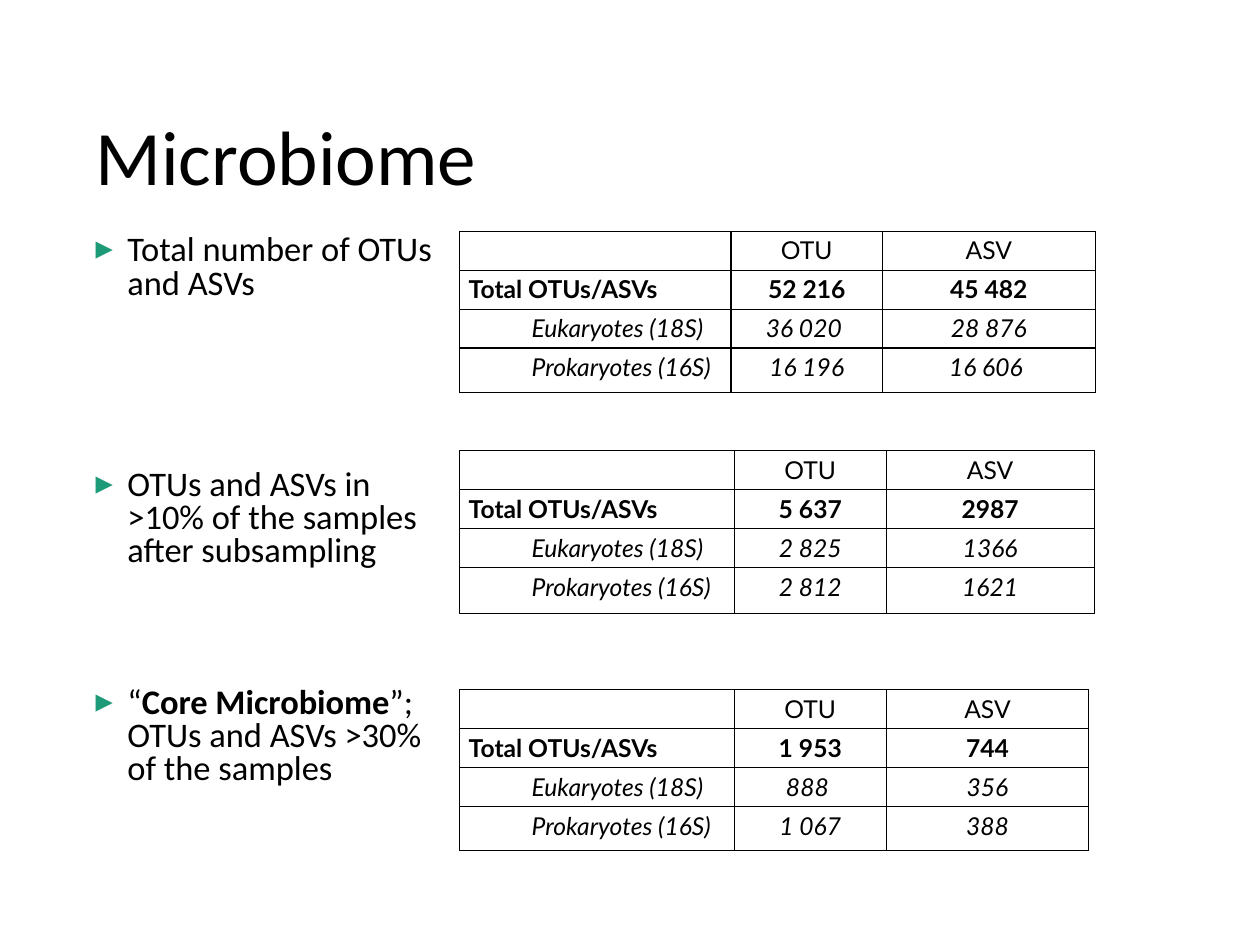
from dataclasses import dataclass

from lxml import etree
from pptx import Presentation
from pptx import util as u
from pptx.dml.color import RGBColor
from pptx.enum import text
from pptx.oxml import ns

BLACK = "000000"
BULLET_GREEN = "1D9A78"
TABLE_LEFT = 5.19
ROW_HEIGHT = 0.44
ROW_LABELS = ["", "Total OTUs/ASVs", "Eukaryotes (18S)", "Prokaryotes (16S)"]


@dataclass
class CountTable:
    top: float
    columns: list[float]
    last_row: float
    otu: list[str]
    asv: list[str]


@dataclass
class Finding:
    runs: list[tuple[str, bool]]  # wording, bold
    space_before: float


COUNT_TABLES = [
    CountTable(2.61, [3.06, 1.71, 2.4], 0.5,
               ["52 216", "36 020 ", "16 196"], ["45 482", "28 876", "16 606 "]),
    CountTable(5.09, [3.1, 1.71, 2.35], 0.52,
               ["5 637", "2 825", "2 812"], ["2987", "1366", "1621"]),
    CountTable(7.79, [3.1, 1.71, 2.29], 0.49,
               ["1 953", "888 ", "1 067"], ["744", "356", "388"]),
]

FINDINGS = [
    Finding([("Total number of OTUs and ASVs", False)], 0),
    Finding([("OTUs and ASVs in >10% of the samples after subsampling", False)], 137),
    Finding([("“", False), ("Core Microbiome", True),
             ("”; OTUs and ASVs >30% of the samples", False)], 96.5),
]


def rgb(color: str) -> RGBColor:
    return RGBColor.from_string(color)


def style(font, name: str, size: float, bold: bool = False, italic: bool = False) -> None:
    font.name, font.size = name, u.Pt(size)
    font.bold, font.italic = bold, italic
    font.color.rgb = rgb(BLACK)


def add_child(parent, tag: str, **attributes: str):
    return etree.SubElement(parent, ns.qn(tag), attributes)


def add_text_frame(slide, left: float, top: float, width: float, height: float):
    box = slide.shapes.add_textbox(*map(u.Inches, (left, top, width, height)))
    box.text_frame.word_wrap = True
    return box.text_frame


def add_title(slide) -> None:
    frame = add_text_frame(slide, 0.98, 0.78, 12.27, 2.06)
    frame.vertical_anchor = text.MSO_ANCHOR.MIDDLE
    frame.text = "Microbiome"
    heading = frame.paragraphs[0]
    heading.line_spacing = 0.9
    style(heading.runs[0].font, "Calibri", 62.6)


def add_bullet(paragraph) -> None:
    properties = paragraph._p.get_or_add_pPr()
    properties.set("marL", str(u.Inches(0.36)))
    properties.set("indent", str(u.Inches(-0.36)))
    add_child(add_child(properties, "a:buClr"), "a:srgbClr", val=BULLET_GREEN)
    add_child(properties, "a:buFont", typeface="Arial")
    add_child(properties, "a:buChar", char="▸")


def add_findings(slide) -> None:
    frame = add_text_frame(slide, 0.98, 2.61, 4.21, 6.91)
    for index, finding in enumerate(FINDINGS):
        paragraph = frame.add_paragraph() if index else frame.paragraphs[0]
        add_bullet(paragraph)
        paragraph.line_spacing = 0.8
        if finding.space_before:
            paragraph.space_before = u.Pt(finding.space_before)
        for wording, bold in finding.runs:
            run = paragraph.add_run()
            run.text = wording
            style(run.font, "Calibri", 28, bold)


def outline(cell) -> None:
    """Give a cell four thin black borders and no fill."""
    properties = cell._tc.get_or_add_tcPr()
    for side in ("a:lnL", "a:lnR", "a:lnT", "a:lnB"):
        border = add_child(properties, side, w=str(u.Pt(1)))
        add_child(add_child(border, "a:solidFill"), "a:srgbClr", val=BLACK)
    cell.fill.background()


def add_count_table(slide, counts: CountTable) -> None:
    row_heights = [ROW_HEIGHT] * 3 + [counts.last_row]
    rows = list(zip(ROW_LABELS, ["OTU", *counts.otu], ["ASV", *counts.asv]))
    table = slide.shapes.add_table(
        len(rows), len(counts.columns), u.Inches(TABLE_LEFT), u.Inches(counts.top),
        u.Inches(sum(counts.columns)), u.Inches(sum(row_heights))).table
    table.first_row = table.horz_banding = False
    for column, width in zip(table.columns, counts.columns):
        column.width = u.Inches(width)
    for r, (values, height) in enumerate(zip(rows, row_heights)):
        table.rows[r].height = u.Inches(height)
        for c, value in enumerate(values):
            cell = table.cell(r, c)
            outline(cell)
            cell.text_frame.text = value
            paragraph = cell.text_frame.paragraphs[0]
            if c:
                paragraph.alignment = text.PP_ALIGN.CENTER
            elif r > 1:
                paragraph._p.get_or_add_pPr().set("marL", str(u.Inches(0.71)))
            for run in paragraph.runs:
                style(run.font, "Lato", 20, bold=r == 1, italic=r > 1)


def main() -> None:
    deck = Presentation()
    deck.slide_width, deck.slide_height = u.Inches(14.22), u.Inches(10.67)
    slide = deck.slides.add_slide(deck.slide_layouts[6])
    add_title(slide)
    add_findings(slide)
    for counts in COUNT_TABLES:
        add_count_table(slide, counts)
    deck.save("out.pptx")


if __name__ == "__main__":
    main()
